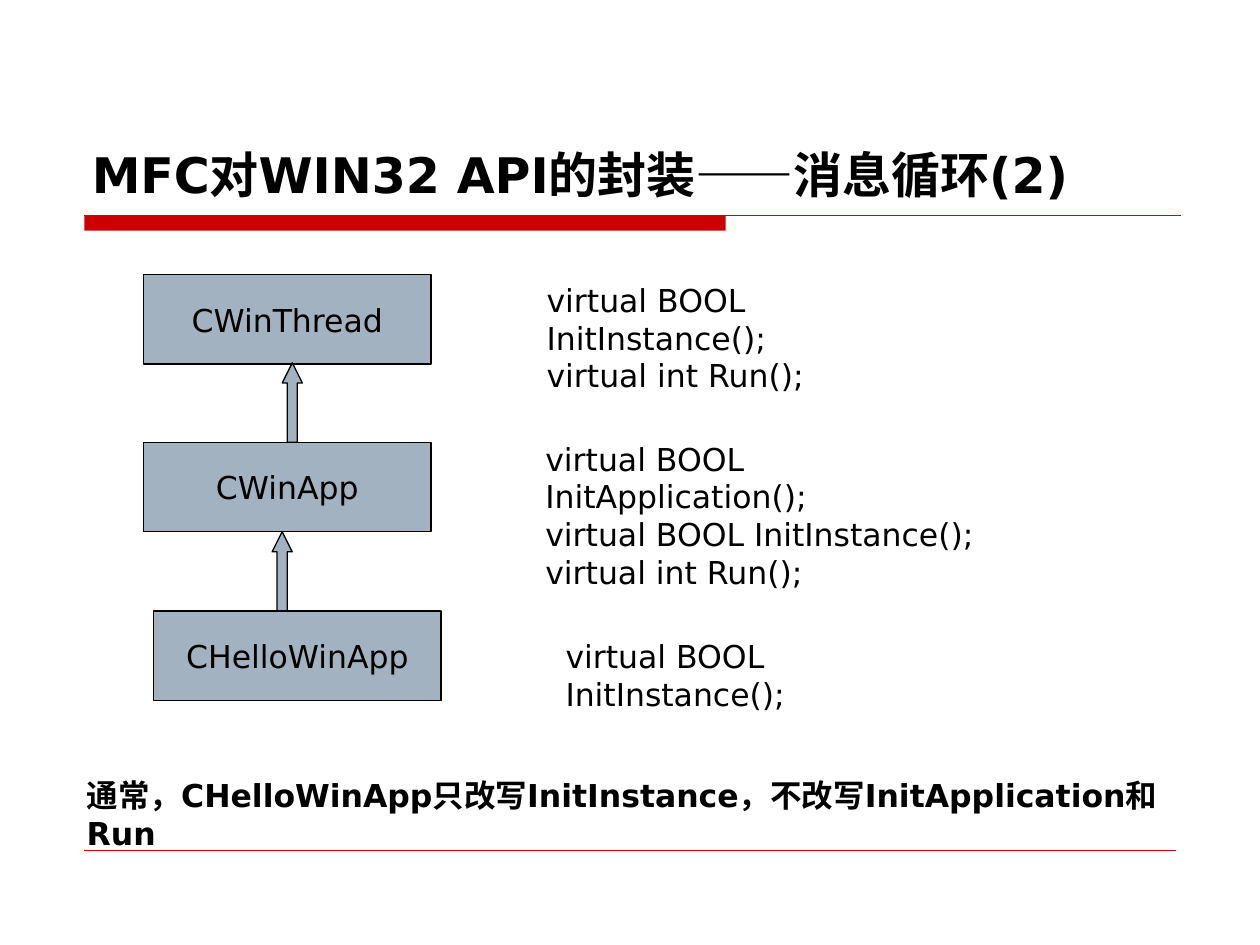
"""Build the slide on how MFC wraps the Win32 message loop."""
from lxml import etree
from pptx import Presentation
from pptx.dml.color import RGBColor
from pptx.enum.shapes import MSO_CONNECTOR as CONN, MSO_SHAPE as SHAPE
from pptx.enum.text import MSO_ANCHOR as ANCHOR, PP_ALIGN as ALIGN
from pptx.oxml.ns import qn
from pptx.util import Inches, Pt


def rgb(value):
    return RGBColor.from_string(value)


def write(s, lines, size=18, bold=False, align=ALIGN.LEFT, anchor=ANCHOR.TOP):
    tf = s.text_frame
    tf.word_wrap = True
    tf.vertical_anchor = anchor
    for i, line in enumerate(lines):
        p = tf.add_paragraph() if i else tf.paragraphs[0]
        p.alignment = align
        r = p.add_run()
        r.text = line
        r.font.name = "DejaVu Sans"
        r.font.size = Pt(size)
        r.font.bold = bold
        r.font.color.rgb = rgb("000000")


prs = Presentation()
prs.slide_width, prs.slide_height = Inches(10), Inches(7.5)
slide = prs.slides.add_slide(prs.slide_layouts[6])
shapes = slide.shapes

bar = shapes.add_shape(SHAPE.RECTANGLE, Inches(0.67), Inches(1.71), Inches(5.09), Inches(0.12))
bar.shadow.inherit = False
bar.fill.solid()
bar.fill.fore_color.rgb = rgb("CC0000")
bar.line.fill.background()

for right, y, weight in [(9.37, 1.71, 0.75), (9.33, 6.75, 0.25)]:
    rule = shapes.add_connector(CONN.STRAIGHT, Inches(0.67), Inches(y), Inches(right), Inches(y))
    rule.line.color.rgb = rgb("CC0000")
    rule.line.width = Pt(weight)
    etree.SubElement(rule._element.spPr, qn("a:effectLst"))

title = shapes.add_textbox(Inches(0.63), Inches(0.33), Inches(8.75), Inches(1.33))
write(title, ["MFC对WIN32 API的封装——消息循环(2)"], 28, True, anchor=ANCHOR.BOTTOM)

diagram = [
    (SHAPE.RECTANGLE, 1.14, 2.18, 2.28, 0.71, "CWinThread"),
    (SHAPE.UP_ARROW, 2.24, 2.88, 0.16, 0.63, None),
    (SHAPE.RECTANGLE, 1.14, 3.51, 2.28, 0.71, "CWinApp"),
    (SHAPE.UP_ARROW, 2.16, 4.22, 0.16, 0.63, None),
    (SHAPE.RECTANGLE, 1.22, 4.85, 2.28, 0.71, "CHelloWinApp"),
]
for kind, x, y, w, h, name in diagram:
    s = shapes.add_shape(kind, Inches(x), Inches(y), Inches(w), Inches(h))
    s.shadow.inherit = False
    s.fill.solid()
    s.fill.fore_color.rgb = rgb("A3B2C1")
    s.line.color.rgb = rgb("000000")
    s.line.width = Pt(0.75)
    if name:
        write(s, [name], align=ALIGN.CENTER, anchor=ANCHOR.MIDDLE)
    else:
        s.adjustments[1] = 1

init, run = "virtual BOOL InitInstance();", "virtual int Run();"
methods = [
    (4.24, 2.18, 3.37, 0.7, [init, run]),
    (4.23, 3.44, 3.68, 1, ["virtual BOOL InitApplication();", init, run]),
    (4.39, 5.01, 3.37, 0.4, [init]),
]
for x, y, w, h, lines in methods:
    write(shapes.add_textbox(Inches(x), Inches(y), Inches(w), Inches(h)), lines)

note = shapes.add_textbox(Inches(0.59), Inches(6.11), Inches(9.04), Inches(0.7))
write(note, ["通常，CHelloWinApp只改写InitInstance，不改写InitApplication和Run"], bold=True)

prs.save("out.pptx")
